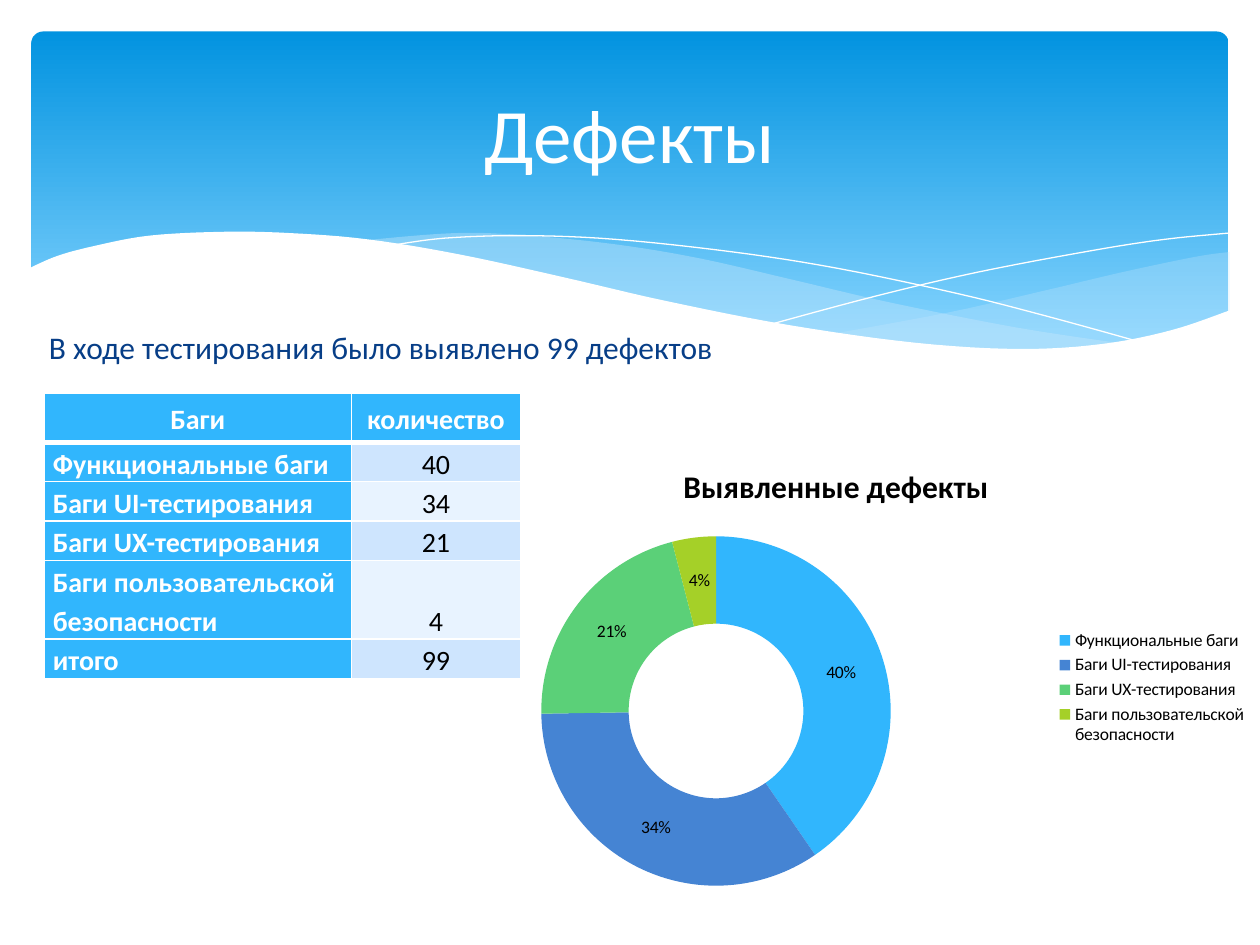
from lxml.etree import SubElement as Sub
from pptx import Presentation
from pptx.chart.data import CategoryChartData as Data
from pptx.dml.color import RGBColor as Rgb
from pptx.enum.chart import XL_CHART_TYPE as Kind, XL_LEGEND_POSITION as Side
from pptx.enum.shapes import MSO_SHAPE as Form
from pptx.enum.text import MSO_ANCHOR as Anchor, PP_ALIGN as Align
from pptx.oxml import parse_xml
from pptx.oxml.ns import qn
from pptx.util import Inches, Pt

WIDE, HIGH = 10, 7.5
FONT = "Calibri"
WHITE, BLACK, BLUE = "FFFFFF", "000000", "31B6FD"
BANDS = ["CEE5FE", "E8F3FF"]
HUES = [BLUE, "4584D3", "5BD078", "A5D028"]
BUGS = [
    ("Функциональные баги", 40),
    ("Баги UI-тестирования", 34),
    ("Баги UX-тестирования", 21),
    ("Баги пользовательской безопасности", 4),
]

# Key points of the waves, in inches
FAR_TOP = [(9.76, 2), (9.48, 2.04), (8.91, 2.16), (8.32, 2.3), (7.53, 2.48), (6.61, 2.65)]
FAR_LOW = [(6.61, 2.65), (7.05, 2.71), (7.57, 2.76), (8.14, 2.78), (8.72, 2.74),
           (9.21, 2.65), (9.76, 2.47)]
MID_TOP = [(8.93, 2.73), (8.07, 2.6), (7.06, 2.4), (6.29, 2.22), (5.55, 2.05), (4.89, 1.94),
           (4.2, 1.87), (3.61, 1.85), (2.86, 1.91)]
MID_LOW = [(2.86, 1.91), (3.62, 2.03), (4.49, 2.22), (5.3, 2.4), (6.18, 2.58), (6.95, 2.7),
           (7.61, 2.77), (8.18, 2.78), (8.93, 2.73)]
DOWN = [(3.09, 1.95), (3.53, 1.89), (4.16, 1.87), (4.89, 1.9), (5.82, 2), (6.65, 2.13),
        (7.6, 2.33), (8.31, 2.51), (9.07, 2.72)]
RISE = [(6.13, 2.57), (6.95, 2.35), (7.76, 2.16), (8.66, 1.99), (9.24, 1.9), (9.75, 1.85)]
FRONT = [(9.77, 2.46), (9.3, 2.62), (8.75, 2.73), (8.09, 2.77), (7.26, 2.72), (6.26, 2.58),
         (5.29, 2.39), (4.47, 2.2), (3.65, 2.02), (2.92, 1.9), (2.3, 1.85), (1.77, 1.84),
         (1.19, 1.87), (0.76, 1.95), (0.46, 2.03), (0.23, 2.13)]


def hue(code):
    return Rgb.from_string(code)


def smooth(keys, steps=6):
    """Points of a Catmull-Rom curve through the keys."""
    ends = [keys[0], *keys, keys[-1]]
    out = [keys[0]]
    for a, b, c, d in zip(ends, ends[1:], ends[2:], ends[3:]):
        for i in range(1, steps + 1):
            t = i / steps
            out.append(tuple(
                (2 * q + (r - p) * t + (2 * p - 5 * q + 4 * r - s) * t**2
                 + (3 * q - p - 3 * r + s) * t**3) / 2
                for p, q, r, s in zip(a, b, c, d)))
    return out


def write(frame, text, size=16, color=WHITE, bold=False, align=Align.LEFT,
          space=None, indent=None):
    frame.word_wrap = True
    para = frame.paragraphs[0]
    para.alignment = align
    if space:
        para.line_spacing = space
    if indent:
        para._p.get_or_add_pPr().set("indent", str(Inches(indent)))
    run = para.add_run()
    run.text = text
    font = run.font
    font.name, font.size, font.bold = FONT, Pt(size), bold
    font.color.rgb = hue(color)


def label(slide, box, text, **form):
    frame = slide.shapes.add_textbox(*map(Inches, box)).text_frame
    frame.vertical_anchor = Anchor.MIDDLE
    write(frame, text, **form)


def wave(slide, points, fill=None, alpha=100):
    """A filled area, or a thin white curve when there is no fill."""
    spots = [(Inches(x), Inches(y)) for x, y in points]
    pen = slide.shapes.build_freeform(*spots[0])
    pen.add_line_segments(spots[1:], close=bool(fill))
    shape = pen.convert_to_shape()
    shape.shadow.inherit = False
    if not fill:
        shape.fill.background()
        shape.line.color.rgb = hue(WHITE)
        shape.line.width = Pt(0)
        return
    shape.line.fill.background()
    shape.fill.solid()
    shape.fill.fore_color.rgb = hue(fill)
    if alpha < 100:
        tint = shape._element.spPr.find(".//" + qn("a:srgbClr"))
        Sub(tint, qn("a:alpha"), val=str(alpha * 1000))


def banner(slide):
    edge = 0.025 * WIDE
    shape = slide.shapes.add_shape(
        Form.ROUNDED_RECTANGLE, *map(Inches, (edge, edge, WIDE - 2 * edge, 0.36 * HIGH)))
    shape.adjustments[0] = 0.034
    shape.shadow.inherit = False
    shape.line.fill.background()
    shape.fill.gradient()
    shape.fill.gradient_angle = 270
    for stop, (code, place) in zip(shape.fill.gradient_stops, [("0293E0", 0), ("83D3FE", 0.9)]):
        stop.color.rgb, stop.position = hue(code), place

    wave(slide, smooth(FAR_TOP) + smooth(FAR_LOW), "C6E7FC", 29)
    wave(slide, smooth(MID_TOP) + smooth(MID_LOW), "C6E7FC", 40)
    wave(slide, smooth(DOWN))
    wave(slide, smooth(RISE))
    wave(slide, smooth(FRONT) + [(0.23, 3.29), (9.77, 3.29)], WHITE)


def border(cell, low):
    props = cell._tc.get_or_add_tcPr()
    for i, (side, width) in enumerate([("L", 1), ("R", 1), ("T", 1), ("B", low)]):
        line = parse_xml(
            '<a:ln%s xmlns:a="http://schemas.openxmlformats.org/drawingml/2006/main" w="%d">'
            '<a:solidFill><a:srgbClr val="%s"/></a:solidFill></a:ln%s>'
            % (side, Pt(width), WHITE, side))
        props.insert(i, line)


def grid(slide):
    rows = [("Баги", "количество"), *BUGS, ("итого", sum(n for _, n in BUGS))]
    cols, tall = [2.44, 1.34], [0.39, 0.28, 0.28, 0.28, 0.43, 0.28]
    table = slide.shapes.add_table(
        len(rows), len(cols), *map(Inches, (0.35, 3.12, sum(cols), sum(tall)))).table
    for col, width in zip(table.columns, cols):
        col.width = Inches(width)
    for r, (row, height) in enumerate(zip(rows, tall)):
        table.rows[r].height = Inches(height)
        for c, text in enumerate(row):
            cell, head = table.cell(r, c), r == 0
            strong = head or c == 0
            cell.margin_left = cell.margin_right = Inches(0.07)
            cell.margin_top = cell.margin_bottom = 0
            cell.vertical_anchor = Anchor.MIDDLE if head else Anchor.BOTTOM
            cell.fill.solid()
            cell.fill.fore_color.rgb = hue(BLUE if strong else BANDS[(r - 1) % 2])
            border(cell, 3 if head else 1)
            write(cell.text_frame, str(text), bold=strong, space=1.15,
                  color=WHITE if strong else BLACK,
                  align=Align.CENTER if head or c else Align.LEFT)


def ring(slide):
    data = Data()
    data.categories = [name for name, _ in BUGS]
    data.add_series("Series 1", [count for _, count in BUGS])
    chart = slide.shapes.add_chart(
        Kind.DOUGHNUT, *map(Inches, (3.27, 3.51, 6.73, 3.89)), data).chart
    chart.font.name, chart.font.size = FONT, Pt(10)
    chart.font.color.rgb = hue(BLACK)
    chart.has_title = True
    write(chart.chart_title.text_frame, "Выявленные дефекты", size=18, color=BLACK,
          bold=True, align=Align.CENTER)
    chart.has_legend = True
    chart.legend.position = Side.RIGHT
    chart.legend.include_in_layout = False

    plot = chart.plots[0]
    plot.vary_by_categories = True
    plot.has_data_labels = True
    marks = plot.data_labels
    marks.show_percentage, marks.show_value = True, False
    marks.number_format, marks.number_format_is_linked = "0%", False
    for i, code in enumerate(HUES):
        fill = plot.series[0].points[i].format.fill
        fill.solid()
        fill.fore_color.rgb = hue(code)

    # Fixed place of the ring within the chart
    area = chart._chartSpace.find(".//" + qn("c:plotArea"))
    for old in area.findall(qn("c:layout")):
        area.remove(old)
    spot = Sub(area, qn("c:layout"))
    area.insert(0, spot)
    hand = Sub(spot, qn("c:manualLayout"))
    for tag, val in [("layoutTarget", "inner"), ("xMode", "edge"), ("yMode", "edge"),
                     ("x", 0.095), ("y", 0.192), ("w", 0.527), ("h", 0.713)]:
        Sub(hand, qn("c:" + tag), val=str(val))


def main():
    deck = Presentation()
    deck.slide_width, deck.slide_height = Inches(WIDE), Inches(HIGH)
    slide = deck.slides.add_slide(deck.slide_layouts[6])
    banner(slide)
    grid(slide)
    label(slide, (0.5, 0.37, 9, 1.37), "Дефекты", size=44, align=Align.CENTER)
    label(slide, (-0.2, 2.55, 6.61, 0.4), "В ходе тестирования было выявлено 99 дефектов",
          size=18, color="073E87", align=Align.JUSTIFY, indent=0.49)
    ring(slide)
    deck.save("out.pptx")


if __name__ == "__main__":
    main()
